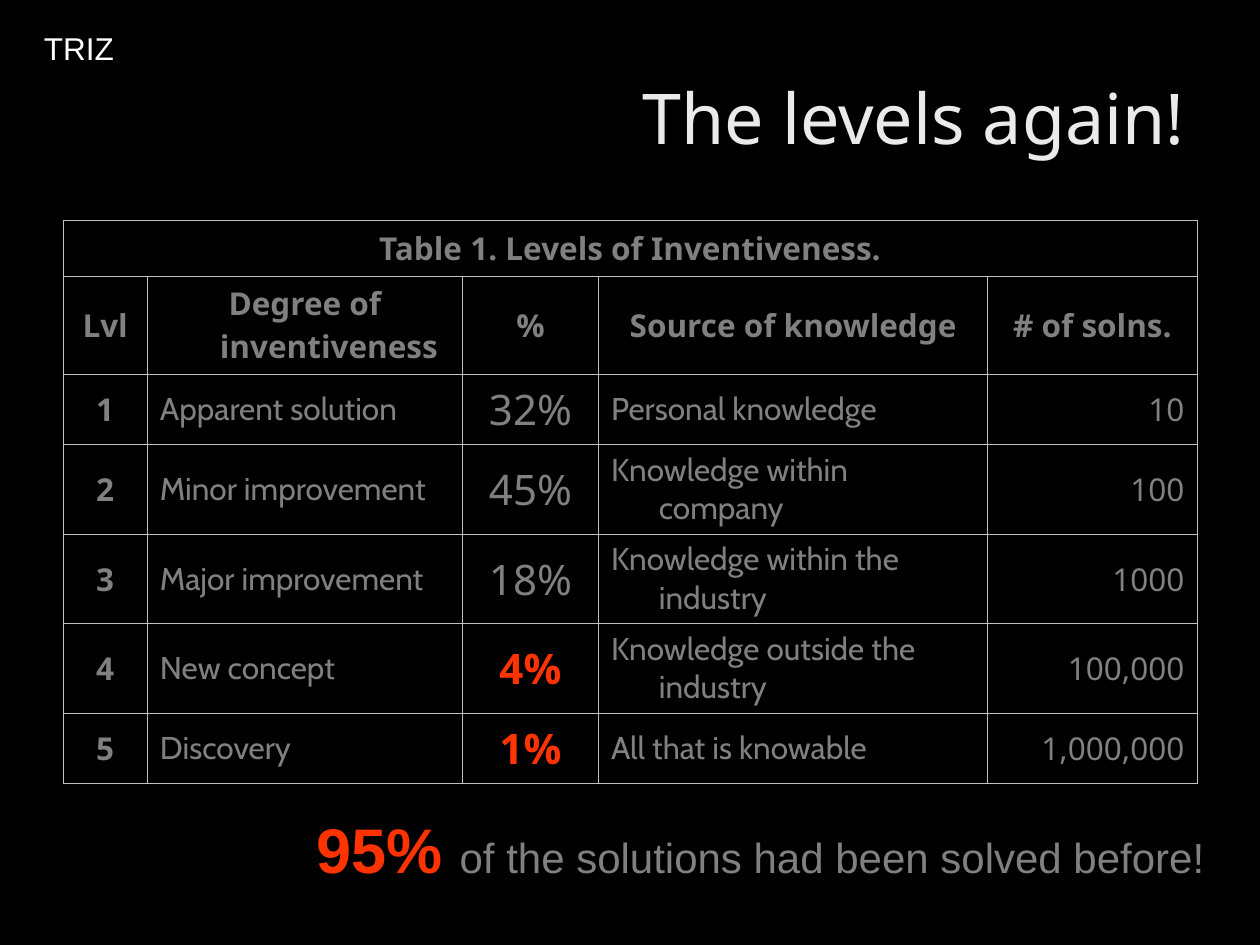
from dataclasses import dataclass

from lxml import etree
from pptx import Presentation
from pptx.dml.color import RGBColor
from pptx.enum.text import MSO_ANCHOR, PP_ALIGN
from pptx.oxml.ns import qn
from pptx.util import Inches, Pt

LEFT, CENTER, RIGHT = PP_ALIGN.LEFT, PP_ALIGN.CENTER, PP_ALIGN.RIGHT
TOP, MIDDLE = MSO_ANCHOR.TOP, MSO_ANCHOR.MIDDLE
BLANK_LAYOUT = 6


@dataclass(frozen=True)
class Theme:
    """Colours, fonts and type sizes of the slide."""
    background: str = "000000"
    heading: str = "EAEAEA"
    label: str = "FFFFFF"
    body: str = "808080"
    accent: str = "FF3300"
    border: str = "C0C0C0"
    main_font: str = "Noto Sans"
    text_font: str = "Cabin"
    plain_font: str = "Arial"
    heading_size: int = 40
    figure_size: int = 36
    share_size: int = 24
    body_size: int = 18
    border_width: float = 0.45


THEME = Theme()
COLUMN_WIDTHS = (0.67, 2.5, 1.08, 3.09, 1.66)
ROW_HEIGHTS = (0.44, 0.78, 0.56, 0.71, 0.71, 0.71, 0.56)
COLUMN_ALIGNMENTS = (CENTER, LEFT, CENTER, LEFT, RIGHT)
CAPTION = "Table 1. Levels of Inventiveness."
HEADERS = ("Lvl", "Degree of inventiveness", "%", "Source of knowledge", "# of solns.")
LEVELS = (
    ("1", "Apparent solution", "32%", "Personal knowledge", "10"),
    ("2", "Minor improvement", "45%", "Knowledge within company", "100"),
    ("3", "Major improvement", "18%", "Knowledge within the industry", "1000"),
    ("4", "New concept", "4%", "Knowledge outside the industry", "100,000"),
    ("5", "Discovery", "1%", "All that is knowable", "1,000,000"),
)
RARE_LEVELS = ("4", "5")


def style_run(run, font, size, color, bold=False):
    """Give a run its typeface, size, colour and weight."""
    run.font.name = font
    run.font.size = Pt(size)
    run.font.bold = bold
    run.font.color.rgb = RGBColor.from_string(color)


def add_line(slide, box, parts, align=LEFT, anchor=TOP, wrap=True):
    """Place one line of text made of (text, font, size, colour, bold) parts."""
    frame = slide.shapes.add_textbox(*map(Inches, box)).text_frame
    frame.word_wrap = wrap
    frame.vertical_anchor = anchor
    paragraph = frame.paragraphs[0]
    paragraph.alignment = align
    for text, *style in parts:
        run = paragraph.add_run()
        run.text = text
        style_run(run, *style)


def add_borders(cell):
    """Draw a thin line on all four sides of a cell."""
    properties = cell._tc.get_or_add_tcPr()
    for position, side in enumerate(("lnL", "lnR", "lnT", "lnB")):
        line = etree.Element(qn(f"a:{side}"), w=str(Pt(THEME.border_width)))
        fill = etree.SubElement(line, qn("a:solidFill"))
        etree.SubElement(fill, qn("a:srgbClr"), val=THEME.border)
        properties.insert(position, line)


def fill_cell(cell, text, align, font=THEME.main_font, size=THEME.body_size,
              color=THEME.body, bold=False):
    """Write a cell's text with a hanging indent."""
    cell.vertical_anchor = MIDDLE
    paragraph = cell.text_frame.paragraphs[0]
    paragraph.text = text
    paragraph.alignment = align
    indent = Inches(0.38)
    properties = paragraph._p.get_or_add_pPr()
    properties.set("marL", str(indent))
    properties.set("indent", str(-indent))
    style_run(paragraph.runs[0], font, size, color, bold)


def column_style(column, rare):
    """Return the type settings of a level's cell in the given column."""
    if column == 0:
        return {"bold": True}
    if column == 2:
        color = THEME.accent if rare else THEME.body
        return {"size": THEME.share_size, "color": color, "bold": rare}
    return {"font": THEME.text_font} if column in (1, 3) else {}


def add_levels_table(slide, box):
    """Place the table of levels of inventiveness."""
    table = slide.shapes.add_table(
        len(ROW_HEIGHTS), len(COLUMN_WIDTHS), *map(Inches, box)).table
    table.first_row = table.horz_banding = False
    for column, width in zip(table.columns, COLUMN_WIDTHS):
        column.width = Inches(width)
    for row, height in zip(table.rows, ROW_HEIGHTS):
        row.height = Inches(height)
    for cell in table.iter_cells():
        cell.fill.background()
        add_borders(cell)
    table.cell(0, 0).merge(table.cell(0, len(COLUMN_WIDTHS) - 1))
    fill_cell(table.cell(0, 0), CAPTION, CENTER, bold=True)
    for column, header in enumerate(HEADERS):
        fill_cell(table.cell(1, column), header, CENTER, bold=True)
    for row, level in enumerate(LEVELS, start=2):
        rare = level[0] in RARE_LEVELS
        for column, text in enumerate(level):
            fill_cell(table.cell(row, column), text, COLUMN_ALIGNMENTS[column],
                      **column_style(column, rare))


def build_levels_slide(presentation):
    """Add the slide on the levels of inventiveness."""
    slide = presentation.slides.add_slide(presentation.slide_layouts[BLANK_LAYOUT])
    slide.background.fill.solid()
    slide.background.fill.fore_color.rgb = RGBColor.from_string(THEME.background)
    add_line(slide, (2.17, 0.3, 7.33, 1.25),
             [("The levels again!", THEME.main_font, THEME.heading_size, THEME.heading)],
             align=RIGHT, anchor=MIDDLE)
    add_levels_table(slide, (0.5, 1.75, sum(COLUMN_WIDTHS), sum(ROW_HEIGHTS)))
    add_line(slide, (2.41, 6.38, 7.25, 0.7), [
        ("95% ", THEME.plain_font, THEME.figure_size, THEME.accent, True),
        ("of the solutions had been solved before!",
         THEME.plain_font, THEME.share_size, THEME.body),
    ], wrap=False)
    add_line(slide, (0.25, 0.18, 1.17, 0.4),
             [("TRIZ", THEME.plain_font, THEME.body_size, THEME.label)])


def main():
    """Build and save the presentation."""
    presentation = Presentation()
    presentation.slide_width = Inches(10)
    presentation.slide_height = Inches(7.5)
    build_levels_slide(presentation)
    presentation.save("out.pptx")


if __name__ == "__main__":
    main()
